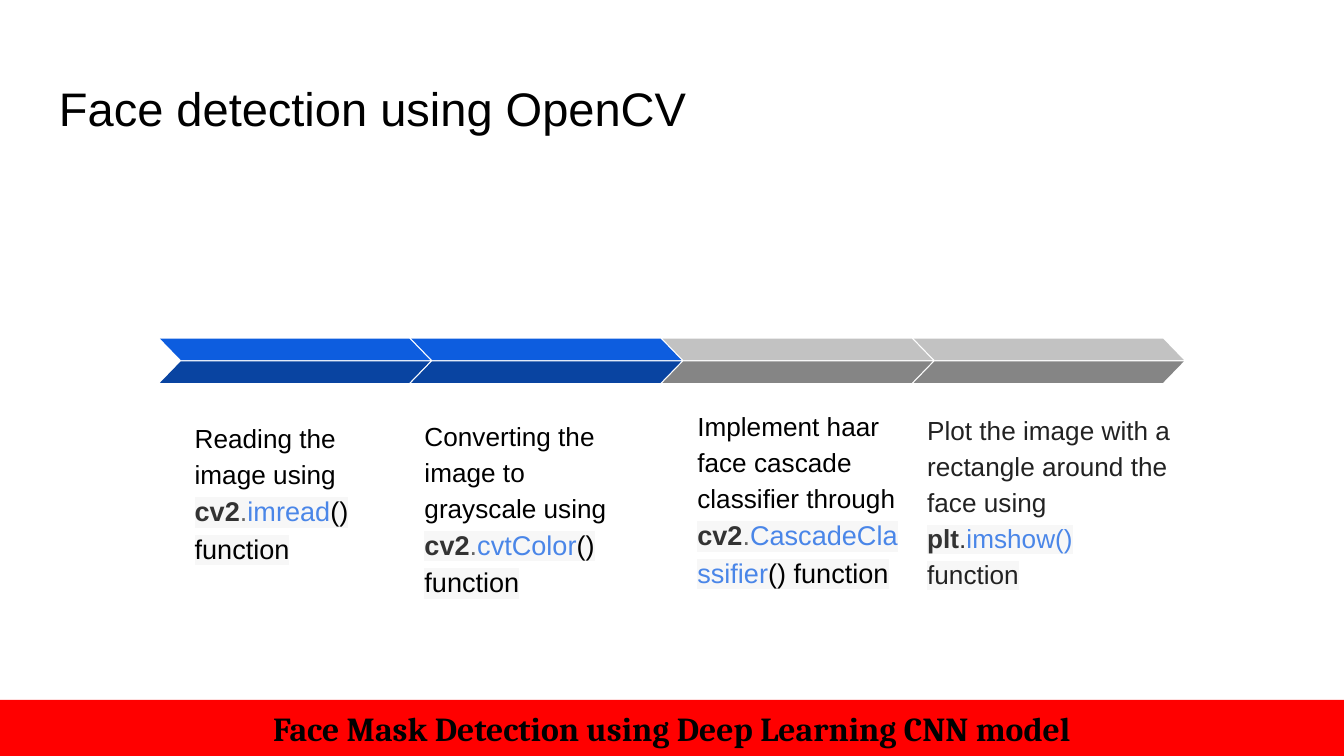
from lxml.etree import SubElement
from pptx import Presentation
from pptx.dml.color import RGBColor as Rgb
from pptx.enum.shapes import MSO_SHAPE as Kind
from pptx.enum.text import MSO_ANCHOR as Anchor, PP_ALIGN as Align
from pptx.oxml.ns import qn
from pptx.util import Pt

HUES = {
    "ink": "000000", "soft": "222222", "dark": "333333", "dot": "666666",
    "link": "4A86E8", "mark": "F7F7F7", "red": "FF0000",
    "blue": "0D5DDF", "navy": "0944A1", "pale": "C2C2C2", "gray": "858585",
}


class Deck:
    def __init__(self, slide, font="Arial"):
        self.slide = slide
        self.font = font

    def style(self, run, size, hue, bold=False, font=None, mark=False):
        run.font.name = font or self.font
        run.font.size = Pt(size)
        run.font.bold = bold
        run.font.color.rgb = Rgb.from_string(HUES[hue])
        if mark:
            props = run.font._element
            light = SubElement(props, qn("a:highlight"))
            SubElement(light, qn("a:srgbClr"), val=HUES["mark"])
            props.find(qn("a:solidFill")).addnext(light)

    def text(self, home, box, runs, line=None, after=None):
        frame = home.add_textbox(*map(Pt, box)).text_frame
        frame.word_wrap = True
        frame.margin_left = frame.margin_right = Pt(7.2)
        frame.margin_top = frame.margin_bottom = Pt(7.2)
        para = frame.paragraphs[0]
        if line:
            para.line_spacing = line
        if after:
            para.space_after = Pt(after)
        for words, look in runs:
            run = para.add_run()
            run.text = words
            self.style(run, **look)

    def shape(self, home, kind, box, hue):
        item = home.add_shape(kind, *map(Pt, box))
        item.shadow.inherit = False
        item.fill.solid()
        item.fill.fore_color.rgb = Rgb.from_string(HUES[hue])
        item.line.fill.background()
        return item

    def bar(self, box, words):
        item = self.shape(self.slide.shapes, Kind.RECTANGLE, box, "red")
        frame = item.text_frame
        frame.text = words
        frame.vertical_anchor = Anchor.MIDDLE
        para = frame.paragraphs[0]
        para.alignment = Align.CENTER
        self.style(para.runs[0], 18, "ink", True, "Cambria")

    def arrow(self, home, left, hues):
        for row, hue in enumerate(hues):
            box = (left, 181.4 + 12.2 * row, 144.7, 11.5)
            half = self.shape(home, Kind.PARALLELOGRAM, box, hue)
            half.adjustments[0] = 0.97
            if row == 0:
                half._element.spPr.find(qn("a:xfrm")).set("flipH", "1")

    def step(self, index, box, hues, runs, after):
        home = self.slide.shapes.add_group_shape().shapes
        self.text(home, box, runs, 1.15, after)
        self.arrow(home, 85.7 + 134.6 * index, hues)


def code(intro, lib, name, tail, hue="ink", size=14.5, dot="dot"):
    return [
        (intro, dict(size=14, hue=hue)),
        (lib, dict(size=size, hue="dark", bold=True, mark=True)),
        (".", dict(size=size, hue=dot, mark=True)),
        (name, dict(size=size, hue="link", mark=True)),
        (tail, dict(size=size, hue=hue, mark=True)),
    ]


def main():
    show = Presentation()
    show.slide_width, show.slide_height = Pt(720), Pt(405)
    slide = show.slides.add_slide(show.slide_layouts[6])
    deck = Deck(slide)
    deck.text(slide.shapes, (24.5, 35.4, 671, 45.1),
              [("Face detection using OpenCV", dict(size=25.2, hue="ink"))])
    deck.bar((0, 375, 720, 30),
             "Face Mask Detection using Deep Learning CNN model")

    done, next_up = ("blue", "navy"), ("pale", "gray")
    steps = [
        ((97.2, 216.7, 121.7, 84.2), done, None,
         code("Reading the image using ", "cv2", "imread", "() function")),
        ((220.3, 215.3, 121.7, 58.3), done, 16,
         code("Converting the image to grayscale using ", "cv2",
              "cvtColor", "() function")),
        ((366.5, 210.2, 121.7, 58.3), next_up, 16,
         code("Implement haar face cascade classifier through ", "cv2",
              "CascadeClassifier", "() function")),
        ((489.6, 212.4, 144.7, 108.7), next_up, None,
         code("Plot the image with a rectangle around the face using ",
              "plt", "imshow() ", "function", "soft", 14, "dark")),
    ]
    for index, (box, hues, after, runs) in enumerate(steps):
        deck.step(index, box, hues, runs, after)
    show.save("out.pptx")


if __name__ == "__main__":
    main()
